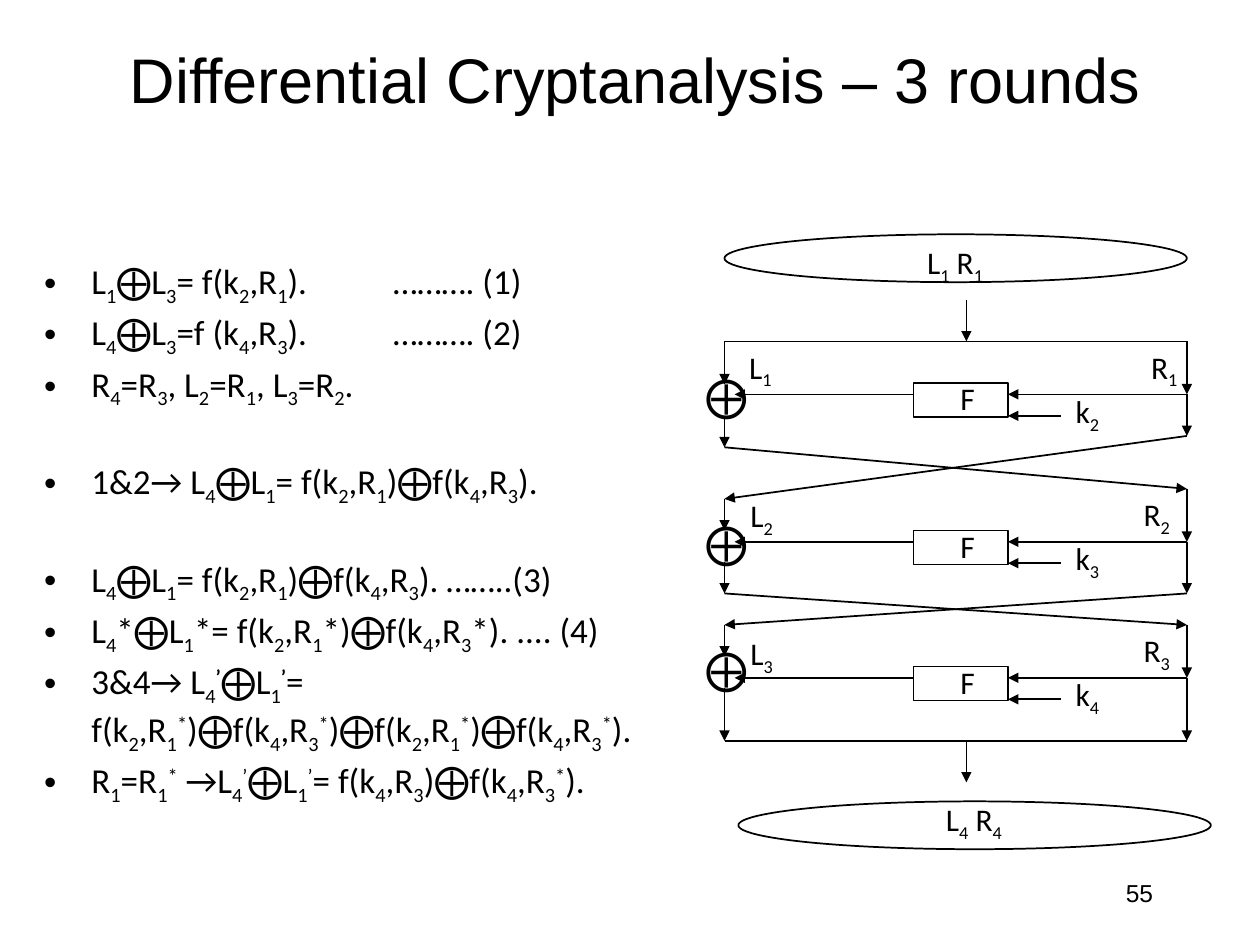
from lxml.etree import SubElement
from pptx import Presentation
from pptx.dml.color import RGBColor
from pptx.enum.shapes import MSO_CONNECTOR, MSO_SHAPE
from pptx.enum.text import MSO_ANCHOR, MSO_AUTO_SIZE, PP_ALIGN
from pptx.oxml.ns import qn
from pptx.util import Inches, Pt

COLORS = {"ink": "000000"}
TITLE = "Differential Cryptanalysis – 3 rounds"
PAGE_NUMBER = "55"

# _ lowers the next character, ^ raises it, ~ raises it in bold
EQUATIONS = [
    ("L_1⨁L_3= f(k_2,R_1).\t………. (1)", 2),
    ("L_4⨁L_3=f (k_4,R_3).\t………. (2)", 2),
    ("R_4=R_3, L_2=R_1, L_3=R_2.", 2),
    ("1&2→ L_4⨁L_1= f(k_2,R_1)⨁f(k_4,R_3).", 28.4),
    ("L_4⨁L_1= f(k_2,R_1)⨁f(k_4,R_3). ……..(3)", 28.4),
    ("L_4*⨁L_1*= f(k_2,R_1*)⨁f(k_4,R_3*). .... (4)", 2),
    ("3&4→ L_4~’⨁L_1~’= f(k_2,R_1^*)⨁f(k_4,R_3^*)⨁f(k_2,R_1^*)⨁f(k_4,R_3^*).", 2),
    ("R_1=R_1^* →L_4^’⨁L_1^’= f(k_4,R_3)⨁f(k_4,R_3^*).", 2),
]
MARKS = {"_": ("-25000", False), "^": ("30000", False), "~": ("30000", True)}

LEFT, RIGHT, MIDDLE = 5.75, 9.42, 7.67
F_LEFT, F_RIGHT, KEY_START, XOR_EDGE = 7.25, 8, 8.42, 5.83
TOP, BOTTOM = 2.71, 5.88
ROUNDS = [
    {"y": 3.13, "left_in": TOP, "right_in": TOP, "xor": 2.88, "xor_in": 3.05,
     "xor_out": 3.3, "left_out": 3.55, "right_out": 3.46,
     "L": (5.84, 2.71), "R": (9.03, 2.71)},
    {"y": 4.3, "left_in": 3.96, "right_in": 3.88, "xor": 4.05, "xor_in": 4.21,
     "xor_out": 4.46, "left_out": 4.71, "right_out": 4.71,
     "L": (5.85, 3.89), "R": (8.97, 3.88)},
    {"y": 5.38, "left_in": 4.96, "right_in": 4.96, "xor": 5.05, "xor_in": 5.21,
     "xor_out": 5.46, "left_out": BOTTOM, "right_out": BOTTOM,
     "L": (5.85, 4.98), "R": (8.97, 4.96)},
]
BLOCKS = [
    ("L_1 R_1", (5.75, 1.86, 3.67, 0.38), (7.24, 1.88)),
    ("L_4 R_4", (5.86, 6.36, 3.75, 0.38), (7.39, 6.3)),
]


def ink():
    return RGBColor.from_string(COLORS["ink"])


def split_marks(text):
    pieces, plain, letters = [], "", iter(text)
    for letter in letters:
        if letter in MARKS:
            if plain:
                pieces.append((plain, None, False))
            pieces.append((next(letters), *MARKS[letter]))
            plain = ""
        else:
            plain += letter
    return pieces + ([(plain, None, False)] if plain else [])


def write(paragraph, text, size, font="Calibri"):
    for piece, baseline, bold in split_marks(text):
        run = paragraph.add_run()
        run.text = piece
        run.font.name, run.font.size = font, Pt(size)
        run.font.color.rgb = ink()
        if bold:
            run.font.bold = True
        if baseline:
            run.font._element.set("baseline", baseline)


def place(shape, *box):
    shape.left, shape.top, shape.width, shape.height = map(Inches, box)


def label(text, left, top, width, height=0.4, size=18, wrap=False,
          align=PP_ALIGN.CENTER, font="Calibri"):
    frame = slide.shapes.add_textbox(*map(Inches, (left, top, width, height))).text_frame
    frame.word_wrap = wrap
    frame.paragraphs[0].alignment = align
    write(frame.paragraphs[0], text, size, font)


def outline(preset, *box):
    shape = slide.shapes.add_shape(preset, *map(Inches, box))
    shape.shadow.inherit = False
    shape.fill.background()
    shape.line.color.rgb = ink()
    shape.line.width = Pt(1)


def wire(x1, y1, x2, y2, arrow=True):
    line = slide.shapes.add_connector(MSO_CONNECTOR.STRAIGHT, *map(Inches, (x1, y1, x2, y2)))
    line.line.color.rgb = ink()
    line.line.width = Pt(1)
    if arrow:
        SubElement(line.line._get_or_add_ln(), qn("a:tailEnd"), type="triangle")
    SubElement(line._element.spPr, qn("a:effectLst"))


deck = Presentation()
deck.slide_width, deck.slide_height = Inches(10), Inches(7.5)
slide = deck.slides.add_slide(deck.slide_layouts[1])

title = slide.shapes.title
place(title, 0.79, 0.25, 8.5, 0.75)
title.text_frame.auto_size = MSO_AUTO_SIZE.NONE
title.text_frame.vertical_anchor = MSO_ANCHOR.MIDDLE
title.text_frame.paragraphs[0].alignment = PP_ALIGN.CENTER
write(title.text_frame.paragraphs[0], TITLE, 36, "Arial")

equations = slide.placeholders[1]
place(equations, 0.25, 2.01, 5.42, 4.57)
equations.text_frame.auto_size = MSO_AUTO_SIZE.NONE
for index, (equation, gap) in enumerate(EQUATIONS):
    frame = equations.text_frame
    paragraph = frame.add_paragraph() if index else frame.paragraphs[0]
    paragraph.space_before = Pt(gap)
    if "\t" in equation:
        stops = SubElement(paragraph._p.get_or_add_pPr(), qn("a:tabLst"))
        SubElement(stops, qn("a:tab"), pos=str(Inches(2.77)), algn="l")
    write(paragraph, equation, 20)

for text, oval, (text_left, text_top) in BLOCKS:
    outline(MSO_SHAPE.OVAL, *oval)
    label(text, text_left, text_top, 0.68)

wire(MIDDLE, 2.38, MIDDLE, TOP)
wire(LEFT, TOP, RIGHT, TOP, arrow=False)
wire(LEFT, BOTTOM, RIGHT, BOTTOM, arrow=False)
wire(MIDDLE, BOTTOM, MIDDLE, 6.21)

for number, stage in enumerate(ROUNDS, 1):
    y = stage["y"]
    outline(MSO_SHAPE.RECTANGLE, F_LEFT, y - 0.09, F_RIGHT - F_LEFT, 0.27)
    label("F", 7.52, y - 0.17, 0.32)
    label("⨁", 5.5, stage["xor"], 0.45, 0.5, size=24, wrap=True)
    label(f"L_{number}", *stage["L"], 0.39)
    label(f"R_{number}", *stage["R"], 0.42)
    label(f"k_{number + 1}", KEY_START, y - 0.07, 0.42, wrap=True)
    wire(F_LEFT, y, XOR_EDGE, y)
    wire(RIGHT, y, F_RIGHT, y)
    wire(KEY_START, y + 0.17, F_RIGHT, y + 0.17)
    wire(LEFT, stage["left_in"], LEFT, stage["xor_in"])
    wire(LEFT, stage["xor_out"], LEFT, stage["left_out"])
    wire(RIGHT, stage["right_in"], RIGHT, y)
    wire(RIGHT, y, RIGHT, stage["right_out"])

for stage, following in zip(ROUNDS, ROUNDS[1:]):
    wire(RIGHT, stage["right_out"], LEFT, following["left_in"])
    wire(LEFT, stage["left_out"], RIGHT, following["right_in"])

label(PAGE_NUMBER, 7.17, 6.92, 2.08, 0.5, size=14, wrap=True,
      align=PP_ALIGN.RIGHT, font="Arial")

deck.save("out.pptx")
